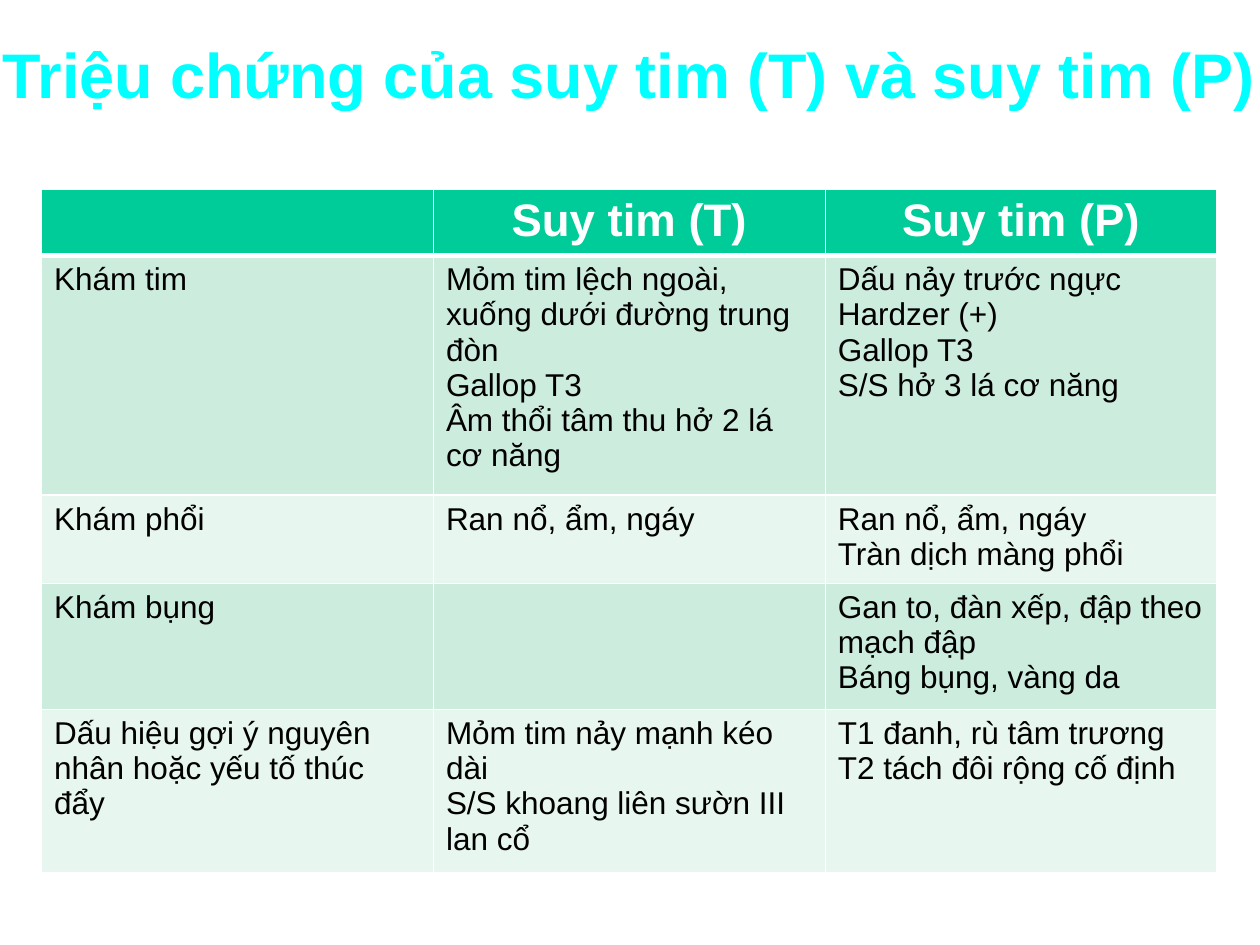
from dataclasses import dataclass

from lxml import etree
from pptx import Presentation
from pptx.dml.color import RGBColor
from pptx.enum.text import MSO_ANCHOR, MSO_AUTO_SIZE, PP_ALIGN
from pptx.oxml.ns import qn
from pptx.util import Inches, Pt

LEFT, CENTER = PP_ALIGN.LEFT, PP_ALIGN.CENTER
MIDDLE = MSO_ANCHOR.MIDDLE
NO_AUTOFIT = MSO_AUTO_SIZE.NONE
TITLE_ONLY_LAYOUT = 5

TITLE = "Triệu chứng của suy tim (T) và suy tim (P)"
ROW_HEIGHTS = [0.53, 1.9, 0.7, 1, 1.3]
SYMPTOMS = [
    [[], ["Suy tim (T)"], ["Suy tim (P)"]],
    [
        ["Khám tim"],
        ["Mỏm tim lệch ngoài, xuống dưới đường trung đòn", "Gallop T3",
         "Âm thổi tâm thu hở 2 lá cơ năng"],
        ["Dấu nảy trước ngực", "Hardzer (+)", "Gallop T3", "S/S hở 3 lá cơ năng"],
    ],
    [["Khám phổi"], ["Ran nổ, ẩm, ngáy"], ["Ran nổ, ẩm, ngáy", "Tràn dịch màng phổi"]],
    [["Khám bụng"], [], ["Gan to, đàn xếp, đập theo mạch đập", "Báng bụng, vàng da"]],
    [
        ["Dấu hiệu gợi ý nguyên nhân hoặc yếu tố thúc đẩy"],
        ["Mỏm tim nảy mạnh kéo dài", "S/S khoang liên sườn III lan cổ"],
        ["T1 đanh, rù tâm trương", "T2 tách đôi rộng cố định"],
    ],
]


@dataclass(frozen=True)
class Theme:
    font: str = "Arial"
    title_color: str = "00FFFF"
    header_fill: str = "00CC99"
    header_color: str = "FFFFFF"
    band_fills: tuple = ("CCECDE", "E7F6EF")
    body_color: str = "000000"
    border_color: str = "FFFFFF"
    title_size: int = 36
    header_size: int = 26
    body_size: int = 18
    border_width: int = 1
    header_rule_width: int = 3


class SlideBuilder:
    """Draws styled elements on the current slide."""

    def __init__(self, slide, theme):
        self.slide = slide
        self.theme = theme

    def add_text(self, paragraph, text, size, color, bold, alignment):
        paragraph.alignment = alignment
        run = paragraph.add_run()
        run.text = text
        run.font.name = self.theme.font
        run.font.size = Pt(size)
        run.font.bold = bold
        run.font.color.rgb = RGBColor.from_string(color)

    def add_title(self, text, left, top, width, height):
        title = self.slide.shapes.title
        title.left, title.top = Inches(left), Inches(top)
        title.width, title.height = Inches(width), Inches(height)
        frame = title.text_frame
        frame.auto_size = NO_AUTOFIT
        frame.vertical_anchor = MIDDLE
        self.add_text(frame.paragraphs[0], text, self.theme.title_size,
                      self.theme.title_color, True, LEFT)

    def add_borders(self, cell, top_width, bottom_width):
        properties = cell._tc.get_or_add_tcPr()
        side_width = self.theme.border_width
        widths = {"lnL": side_width, "lnR": side_width, "lnT": top_width, "lnB": bottom_width}
        for position, (side, width) in enumerate(widths.items()):
            line = etree.Element(qn(f"a:{side}"), w=str(Pt(width)))
            fill = etree.SubElement(line, qn("a:solidFill"))
            etree.SubElement(fill, qn("a:srgbClr"), val=self.theme.border_color)
            properties.insert(position, line)

    def fill_cell(self, cell, lines, row_index):
        theme = self.theme
        is_header = row_index == 0
        if is_header:
            fill, size, color, alignment = (
                theme.header_fill, theme.header_size, theme.header_color, CENTER)
        else:
            fill = theme.band_fills[(row_index - 1) % 2]
            size, color, alignment = theme.body_size, theme.body_color, LEFT
        cell.fill.solid()
        cell.fill.fore_color.rgb = RGBColor.from_string(fill)
        top_width = theme.header_rule_width if row_index == 1 else theme.border_width
        bottom_width = theme.header_rule_width if is_header else theme.border_width
        self.add_borders(cell, top_width, bottom_width)
        frame = cell.text_frame
        for index, line in enumerate(lines):
            paragraph = frame.add_paragraph() if index else frame.paragraphs[0]
            self.add_text(paragraph, line, size, color, is_header, alignment)

    def add_table(self, rows, row_heights, left, top, width):
        table = self.slide.shapes.add_table(
            len(rows), len(rows[0]), Inches(left), Inches(top),
            Inches(width), Inches(sum(row_heights))).table
        for row_index, (row, height) in enumerate(zip(rows, row_heights)):
            table.rows[row_index].height = Inches(height)
            for column_index, lines in enumerate(row):
                self.fill_cell(table.cell(row_index, column_index), lines, row_index)


def main():
    presentation = Presentation()
    presentation.slide_width, presentation.slide_height = Inches(10), Inches(7.5)
    layout = presentation.slide_layouts[TITLE_ONLY_LAYOUT]
    builder = SlideBuilder(presentation.slides.add_slide(layout), Theme())
    builder.add_title(TITLE, -0.08, 0.25, 10.92, 0.67)
    builder.add_table(SYMPTOMS, ROW_HEIGHTS, 0.33, 1.5, 9.33)
    presentation.save("out.pptx")


if __name__ == "__main__":
    main()
